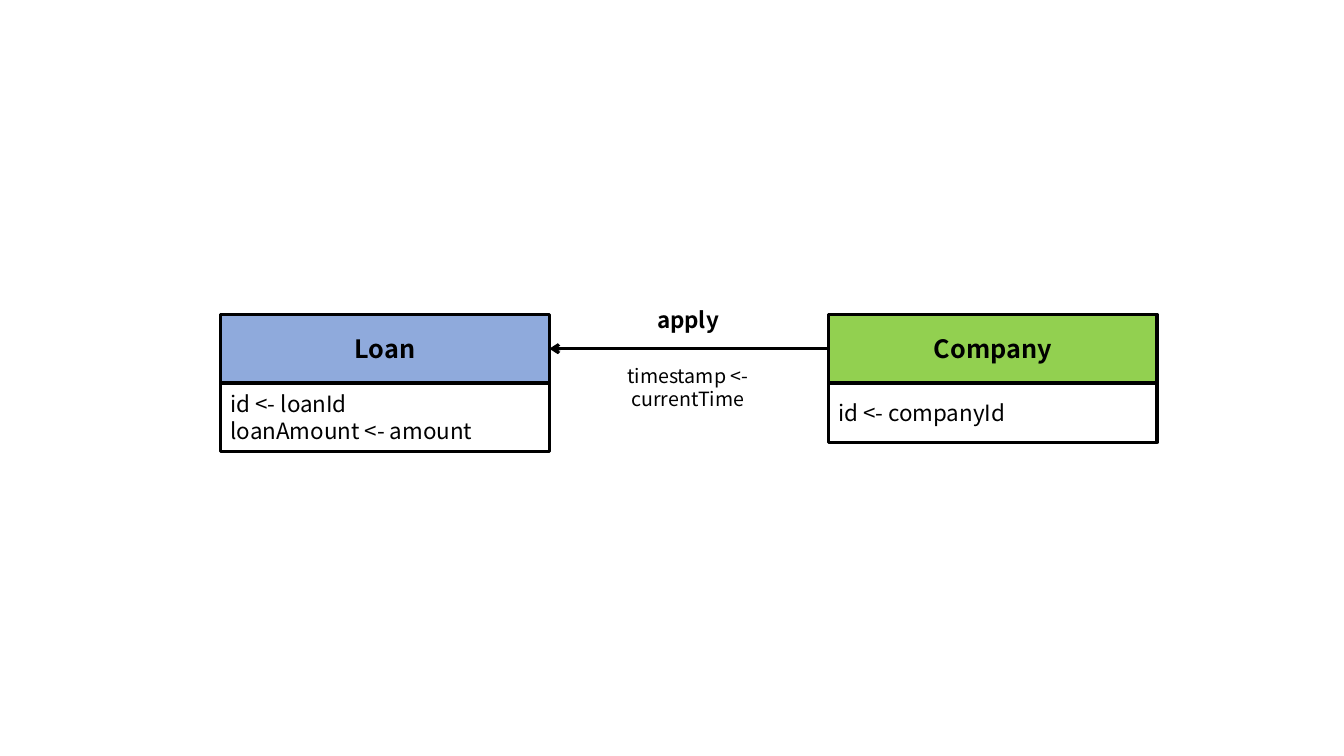
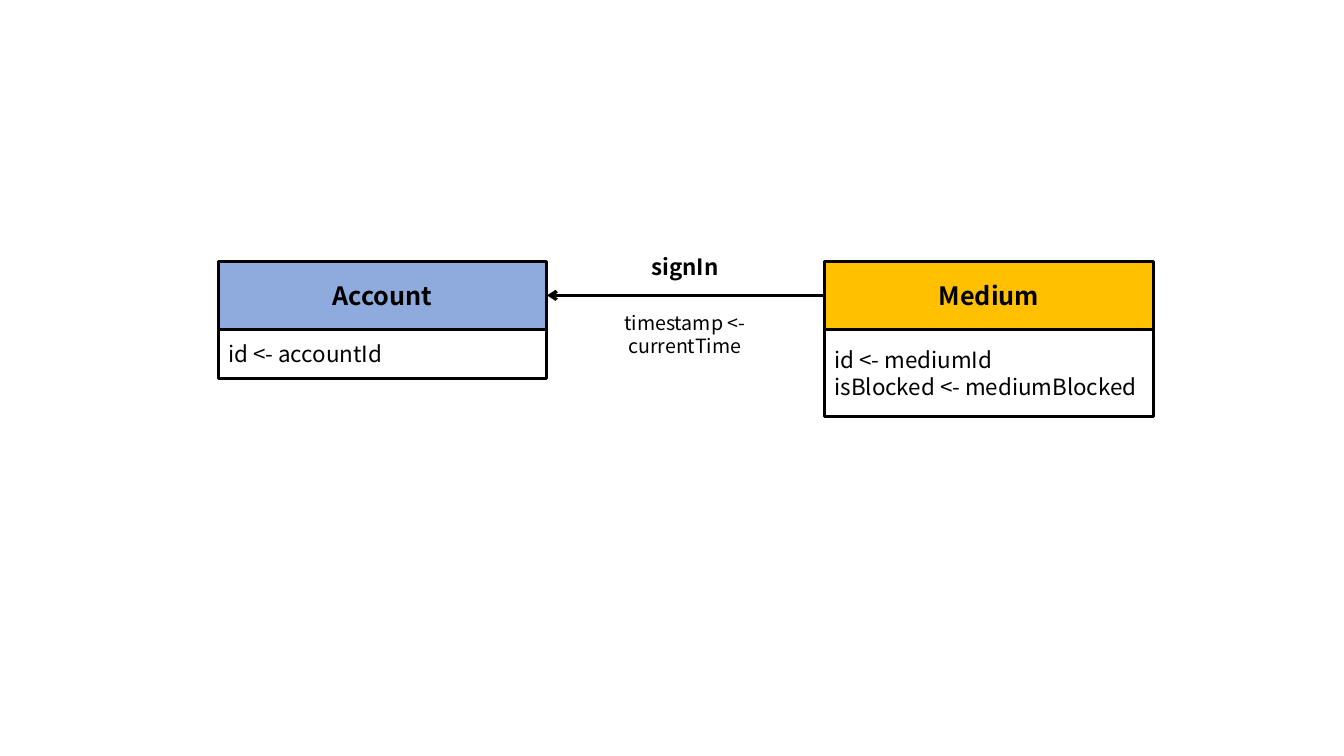
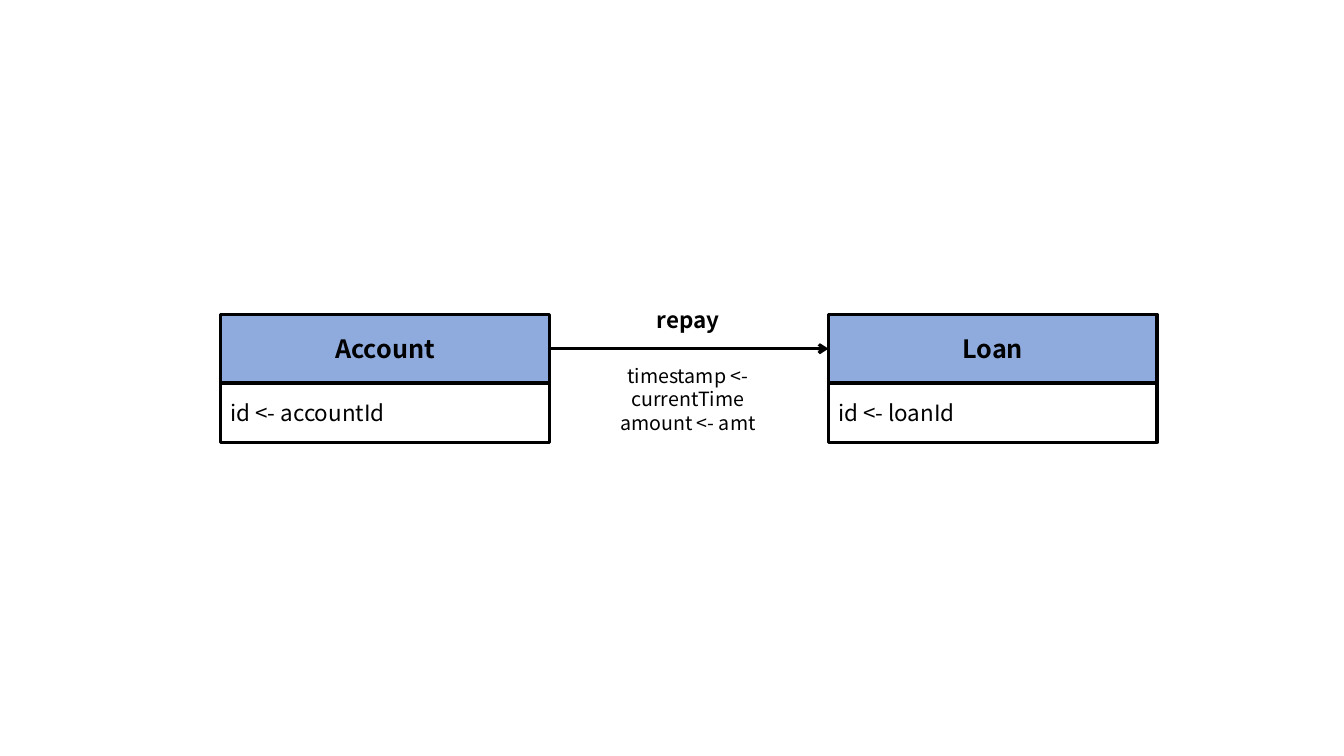
from lxml import etree
from pptx import Presentation
from pptx.dml.color import RGBColor
from pptx.enum.shapes import MSO_CONNECTOR, MSO_SHAPE
from pptx.enum.text import MSO_ANCHOR, PP_ALIGN
from pptx.oxml.ns import qn
from pptx.util import Pt

RECTANGLE = MSO_SHAPE.RECTANGLE
STRAIGHT = MSO_CONNECTOR.STRAIGHT
MIDDLE, TOP = MSO_ANCHOR.MIDDLE, MSO_ANCHOR.TOP
CENTER, LEFT = PP_ALIGN.CENTER, PP_ALIGN.LEFT

FONT = "Noto Sans CJK SC"
BLACK, BLUE, GREEN, AMBER = "000000", "8FAADC", "92D050", "FFC000"
LINE_WIDTH = Pt(2.25)
ENTITY_WIDTH, HEADER_HEIGHT = 234.7, 49
LABEL_WIDTH, DETAIL_WIDTH = 162, 180.7
LEFT_SITE, RIGHT_SITE = 1, 3

HEADER_STYLE = {"size": Pt(18), "bold": True}
FIELD_STYLE = {"size": Pt(16), "bold": False}
LABEL_STYLE = {"size": Pt(16), "bold": True}
DETAIL_STYLE = {"size": Pt(14), "bold": False}


def color(value):
    """Return the colour for a hex string."""
    return RGBColor.from_string(value)


def write(box, lines, style, align, anchor):
    """Fill a box with one paragraph per line, all in one style."""
    frame = box.text_frame
    frame.word_wrap = True
    frame.vertical_anchor = anchor
    frame.text = "\n".join(lines)
    for para in frame.paragraphs:
        para.alignment = align
        for span in para.runs:
            span.font.name = FONT
            span.font.color.rgb = color(BLACK)
            for name, value in style.items():
                setattr(span.font, name, value)


# Entities run from left to right: name, header fill, field height, fields.
diagrams = [
    {
        "top": 224.6, "lefts": (157.7, 591.8), "source": 1, "target": 0,
        "relation": "apply", "details": ["timestamp <- currentTime"],
        "entities": [
            ("Loan", BLUE, 49, ["id <- loanId", "loanAmount <- amount"]),
            ("Company", GREEN, 42.5, ["id <- companyId"]),
        ],
    },
    {
        "top": 186.5, "lefts": (156, 589), "source": 1, "target": 0,
        "relation": "signIn", "details": ["timestamp <- currentTime"],
        "entities": [
            ("Account", BLUE, 34.6, ["id <- accountId"]),
            ("Medium", AMBER, 61.9, ["id <- mediumId", "isBlocked <- mediumBlocked"]),
        ],
    },
    {
        "top": 224.6, "lefts": (157.7, 591.8), "source": 0, "target": 1,
        "relation": "repay", "details": ["timestamp <- currentTime", "amount <- amt"],
        "entities": [
            ("Account", BLUE, 42.5, ["id <- accountId"]),
            ("Loan", BLUE, 42.5, ["id <- loanId"]),
        ],
    },
]

deck = Presentation()
deck.slide_width, deck.slide_height = Pt(960), Pt(540)
blank_layout = deck.slide_layouts.get_by_name("Blank")

for diagram in diagrams:
    page = deck.slides.add_slide(blank_layout)
    top, lefts = diagram["top"], diagram["lefts"]

    headers = []
    for left, (name, fill, field_height, fields) in zip(lefts, diagram["entities"]):
        header = page.shapes.add_shape(
            RECTANGLE, Pt(left), Pt(top), Pt(ENTITY_WIDTH), Pt(HEADER_HEIGHT))
        header.fill.solid()
        header.fill.fore_color.rgb = color(fill)
        write(header, [name], HEADER_STYLE, CENTER, MIDDLE)
        headers.append(header)

        field_box = page.shapes.add_shape(
            RECTANGLE, Pt(left), Pt(top + HEADER_HEIGHT), Pt(ENTITY_WIDTH), Pt(field_height))
        field_box.fill.background()
        write(field_box, fields, FIELD_STYLE, LEFT, MIDDLE)

        for box in (header, field_box):
            box.shadow.inherit = False
            box.line.color.rgb = color(BLACK)
            box.line.width = LINE_WIDTH

    arrow = page.shapes.add_connector(STRAIGHT, Pt(0), Pt(0), Pt(0), Pt(0))
    sites = (RIGHT_SITE, LEFT_SITE)
    source, target = diagram["source"], diagram["target"]
    arrow.begin_connect(headers[source], sites[source])
    arrow.end_connect(headers[target], sites[target])
    arrow.line.color.rgb = color(BLACK)
    arrow.line.width = LINE_WIDTH
    etree.SubElement(arrow.line._get_or_add_ln(), qn("a:tailEnd"), type="arrow")
    etree.SubElement(arrow._element.spPr, qn("a:effectLst"))

    middle = (lefts[0] + ENTITY_WIDTH + lefts[1]) / 2 - 0.7
    captions = [
        ([diagram["relation"]], LABEL_STYLE, LABEL_WIDTH, -9.4, 26.6),
        (diagram["details"], DETAIL_STYLE, DETAIL_WIDTH, 31.7,
         7.4 + 17 * len(diagram["details"])),
    ]
    for lines, style, width, offset, height in captions:
        caption = page.shapes.add_textbox(
            Pt(middle - width / 2), Pt(top + offset), Pt(width), Pt(height))
        write(caption, lines, style, CENTER, TOP)

deck.save("out.pptx")
